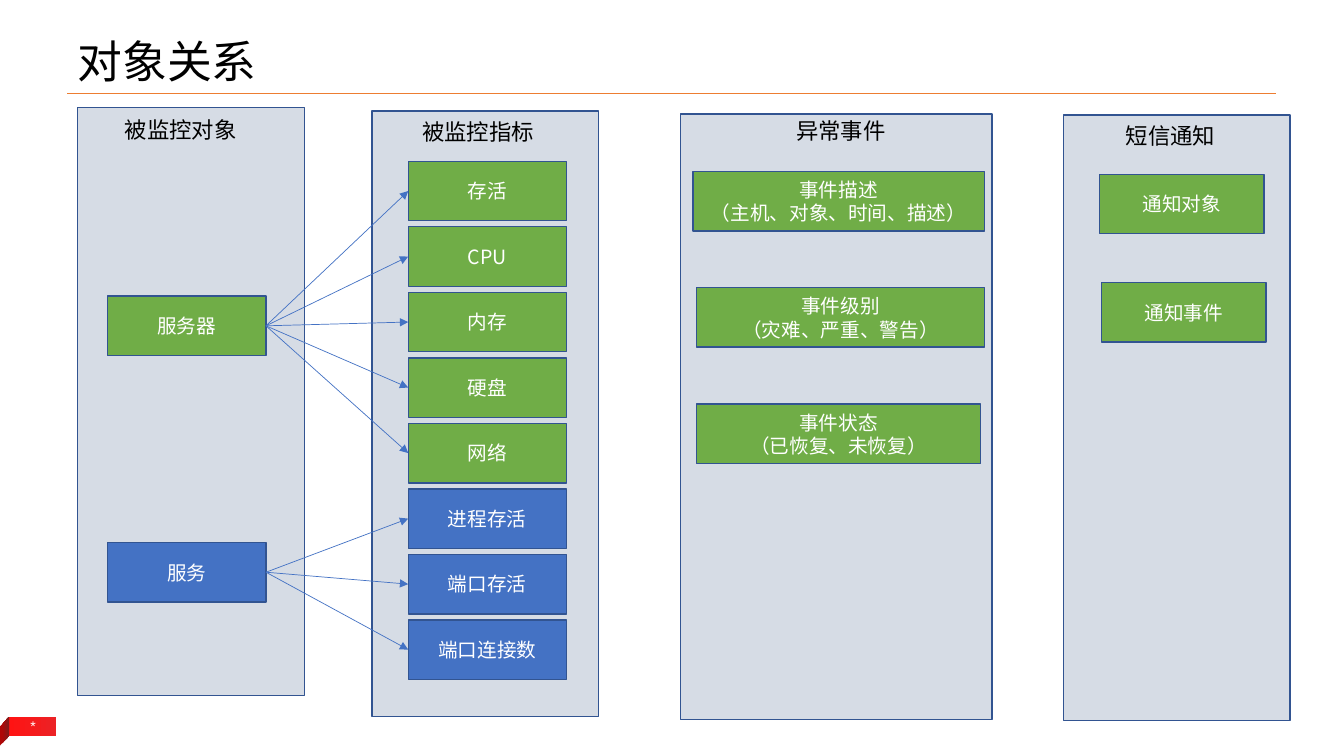
from dataclasses import dataclass

from lxml.etree import SubElement
from pptx import Presentation
from pptx.dml.color import RGBColor
from pptx.dml.fill import FillFormat
from pptx.enum.shapes import MSO_CONNECTOR, MSO_SHAPE
from pptx.enum.text import MSO_ANCHOR, MSO_AUTO_SIZE, PP_ALIGN
from pptx.oxml.ns import qn
from pptx.shapes.autoshape import Shape
from pptx.shapes.connector import Connector
from pptx.slide import Slide
from pptx.text.text import TextFrame
from pptx.util import Pt

COLOURS = {
    "panel": "D6DCE5",
    "outline": "325491",
    "green": "70AD47",
    "blue": "4472C4",
    "rule": "ED7D31",
    "black": "000000",
    "white": "FFFFFF",
    "ribbon_light": "FF1313",
    "ribbon_dark": "EC2225",
    "fold_light": "AF0707",
    "fold_dark": "7F1B1B",
}
FONT = "Noto Sans CJK SC"
BOX_HEIGHT = 42.5
NODE_WIDTH = 113
METRIC_LEFT, METRIC_TOP, METRIC_STEP = 291.6, 115.2, 46.8


@dataclass
class Panel:
    left: float
    top: float
    width: float
    height: float
    heading: str
    heading_left: float
    heading_top: float
    heading_width: float


@dataclass
class Box:
    text: str
    left: float
    top: float
    width: float = NODE_WIDTH
    colour: str = "green"


@dataclass
class Source:
    box: Box
    metrics: list[str]


PANELS = [
    Panel(55.4, 77, 162, 419.8, "被监控对象", 82.1, 79.2, 95),
    Panel(265.7, 79.2, 162, 432.7, "被监控指标", 294.5, 80.6, 95),
    Panel(486, 81.4, 222.5, 432.7, "异常事件", 561.6, 79.9, 79),
    Panel(759.6, 82.1, 162, 432.7, "短信通知", 797, 83.5, 79),
]
SOURCES = [
    Source(Box("服务器", 77, 211.5), ["存活", "CPU", "内存", "硬盘", "网络"]),
    Source(Box("服务", 77, 387.5, colour="blue"), ["进程存活", "端口存活", "端口连接数"]),
]
DETAILS = [
    Box("事件描述\n（主机、对象、时间、描述）", 495, 122.4, 208.1),
    Box("事件级别\n（灾难、严重、警告）", 497.5, 205.5, 205.9),
    Box("事件状态\n（已恢复、未恢复）", 497.5, 288.7, 203),
    Box("通知对象", 785.5, 124.5, 117.4),
    Box("通知事件", 787, 201.8, 117.4),
]


def rgb(name: str) -> RGBColor:
    return RGBColor.from_string(COLOURS[name])


def format_text(text_frame: TextFrame, size: float, colour: str,
                alignment: PP_ALIGN, font: str = FONT) -> None:
    for paragraph in text_frame.paragraphs:
        paragraph.alignment = alignment
        for run in paragraph.runs:
            run.font.size = Pt(size)
            run.font.name = font
            run.font.color.rgb = rgb(colour)
            SubElement(run.font._element, qn("a:ea")).set("typeface", font)


def add_rectangle(slide: Slide, left: float, top: float, width: float,
                  height: float, colour: str) -> Shape:
    shape = slide.shapes.add_shape(
        MSO_SHAPE.RECTANGLE, Pt(left), Pt(top), Pt(width), Pt(height))
    shape.shadow.inherit = False
    shape.fill.solid()
    shape.fill.fore_color.rgb = rgb(colour)
    shape.line.color.rgb = rgb("outline")
    shape.line.width = Pt(1)
    return shape


def add_label(slide: Slide, text: str, left: float, top: float,
              width: float, height: float) -> TextFrame:
    text_frame = slide.shapes.add_textbox(
        Pt(left), Pt(top), Pt(width), Pt(height)).text_frame
    text_frame.word_wrap = False
    text_frame.text = text
    return text_frame


def add_panel(slide: Slide, panel: Panel) -> None:
    add_rectangle(slide, panel.left, panel.top, panel.width, panel.height, "panel")
    heading = add_label(slide, panel.heading, panel.heading_left,
                        panel.heading_top, panel.heading_width, 26.6)
    format_text(heading, 16, "black", PP_ALIGN.LEFT)


def add_box(slide: Slide, box: Box) -> Shape:
    shape = add_rectangle(slide, box.left, box.top, box.width, BOX_HEIGHT, box.colour)
    shape.text_frame.text = box.text
    shape.text_frame.vertical_anchor = MSO_ANCHOR.MIDDLE
    format_text(shape.text_frame, 14, "white", PP_ALIGN.CENTER)
    return shape


def add_line(slide: Slide, start: tuple[float, float], end: tuple[float, float],
             colour: str, width: float) -> Connector:
    connector = slide.shapes.add_connector(
        MSO_CONNECTOR.STRAIGHT, Pt(start[0]), Pt(start[1]), Pt(end[0]), Pt(end[1]))
    connector.line.color.rgb = rgb(colour)
    connector.line.width = Pt(width)
    SubElement(connector._element.spPr, qn("a:effectLst"))
    return connector


def add_arrow(slide: Slide, source: Shape, target: Shape) -> None:
    connector = add_line(slide, (0, 0), (0, 0), "blue", 0.5)
    connector.begin_connect(source, 3)
    connector.end_connect(target, 1)
    SubElement(connector.line._get_or_add_ln(), qn("a:tailEnd")).set("type", "triangle")


def apply_gradient(fill: FillFormat, first: str, last: str, start: float) -> None:
    fill.gradient()
    fill.gradient_angle = 0
    first_stop, last_stop = fill.gradient_stops
    first_stop.color.rgb, first_stop.position = rgb(first), start
    last_stop.color.rgb, last_stop.position = rgb(last), 1


def add_ribbon(slide: Slide) -> None:
    face = add_rectangle(slide, 6.5, 512, 33.8, 13.7, "ribbon_light")
    apply_gradient(face.fill, "ribbon_light", "ribbon_dark", 0)
    face.line.fill.background()
    builder = slide.shapes.build_freeform(Pt(6.5), Pt(512))
    builder.add_line_segments(
        [(Pt(x), Pt(y)) for x, y in [(-2.9, 522), (-2.9, 535.7), (6.5, 525.6)]])
    fold = builder.convert_to_shape()
    fold.shadow.inherit = False
    apply_gradient(fold.fill, "fold_light", "fold_dark", 0.47)
    fold.line.fill.background()
    marker = add_label(slide, "*", 12.2, 507.6, 23, 21.6)
    marker.margin_left = marker.margin_right = Pt(9.4)
    marker.margin_top = marker.margin_bottom = Pt(5)
    format_text(marker, 10, "white", PP_ALIGN.CENTER, "Arial")


def add_title(slide: Slide, text: str) -> None:
    title = slide.shapes.title
    title.left, title.top, title.width, title.height = Pt(48.2), Pt(15.1), Pt(864), Pt(51.8)
    title.text_frame.text = text
    title.text_frame.auto_size = MSO_AUTO_SIZE.NONE
    title.text_frame.vertical_anchor = MSO_ANCHOR.BOTTOM
    title.text_frame.paragraphs[0].line_spacing = 0.9
    format_text(title.text_frame, 32, "black", PP_ALIGN.LEFT)


def main() -> None:
    presentation = Presentation()
    presentation.slide_width, presentation.slide_height = Pt(960), Pt(540)
    slide = presentation.slides.add_slide(presentation.slide_layouts[5])
    add_title(slide, "对象关系")
    add_line(slide, (48.2, 67), (911.5, 67), "rule", 0.75)
    add_ribbon(slide)
    for panel in PANELS:
        add_panel(slide, panel)
    metric_top = METRIC_TOP
    for source in SOURCES:
        source_shape = add_box(slide, source.box)
        for metric in source.metrics:
            metric_box = Box(metric, METRIC_LEFT, metric_top, colour=source.box.colour)
            add_arrow(slide, source_shape, add_box(slide, metric_box))
            metric_top += METRIC_STEP
    for box in DETAILS:
        add_box(slide, box)
    presentation.save("out.pptx")


if __name__ == "__main__":
    main()
